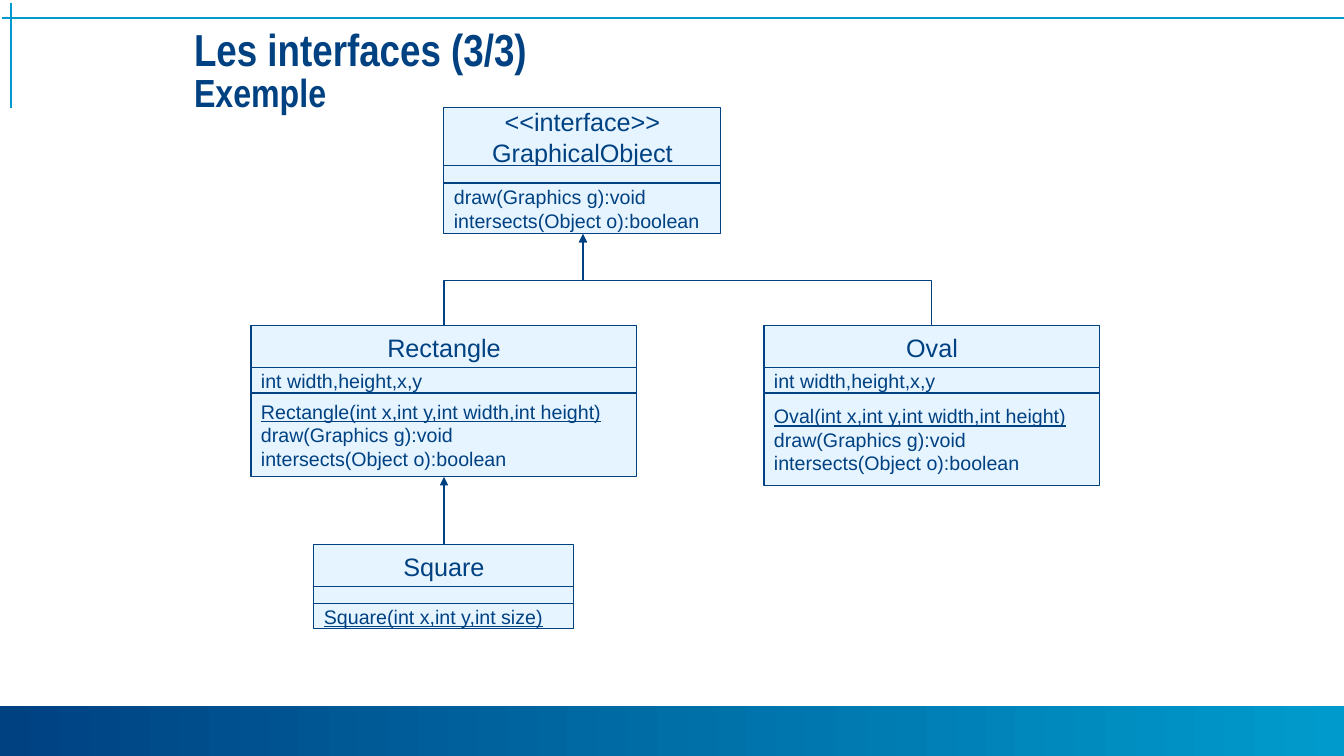
from copy import deepcopy

from pptx import Presentation
from pptx.dml.color import RGBColor
from pptx.enum.shapes import MSO_CONNECTOR as CONN, MSO_SHAPE as SHAPE
from pptx.enum.text import MSO_ANCHOR as ANCHOR, MSO_AUTO_SIZE as AUTO, PP_ALIGN as ALIGN
from pptx.oxml.ns import qn
from pptx.util import Pt
from lxml.etree import SubElement

EMU_PER_PX = 914400 / 100.8


def px(n):
    return round(n * EMU_PER_PX)


def rgb(value):
    return RGBColor.from_string(value)


class Diagram:
    NAVY, CYAN, PALE = "004182", "009BCC", "E6F4FF"
    FONT, TITLE_FONT = "Arial", "Arial Narrow"
    NAME_SIZE, MEMBER_SIZE = 18, 14

    def __init__(self, slide):
        self.s = slide

    def run(self, p, text, size, font=FONT, bold=False, underline=False):
        r = p.add_run()
        r.text = text
        r.font.size, r.font.name = Pt(size), font
        r.font.bold, r.font.underline = bold, underline
        r.font.color.rgb = rgb(self.NAVY)
        return r

    def title(self, x, y, w, h, heading, subheading):
        sp = self.s.shapes.title
        sp.left, sp.top, sp.width, sp.height = map(px, (x, y, w, h))
        tf = sp.text_frame
        tf.auto_size, tf.vertical_anchor = AUTO.NONE, ANCHOR.MIDDLE
        tf.margin_left = tf.margin_right = px(10)
        tf.margin_top = tf.margin_bottom = px(4)
        p = tf.paragraphs[0]
        p.alignment, p.line_spacing = ALIGN.LEFT, 0.85
        r = self.run(p, heading, 32, self.TITLE_FONT, bold=True)
        p.add_line_break()
        # The break takes the size of the heading
        p._p.find(qn("a:br")).append(deepcopy(r._r.rPr))
        self.run(p, subheading, 28, self.TITLE_FONT, bold=True)

    def band(self, x, y, w, h):
        sp = self.s.shapes.add_shape(SHAPE.RECTANGLE, *map(px, (x, y, w, h)))
        sp.shadow.inherit = False
        sp.line.fill.background()
        sp.fill.gradient()
        sp.fill.gradient_angle = 0
        for stop, colour in zip(sp.fill.gradient_stops, (self.NAVY, self.CYAN)):
            stop.color.rgb = rgb(colour)

    def compartment(self, x, y, w, h, lines, size, align, constructor=None):
        sp = self.s.shapes.add_shape(SHAPE.RECTANGLE, *map(px, (x, y, w, h)))
        sp.shadow.inherit = False
        sp.fill.solid()
        sp.fill.fore_color.rgb = rgb(self.PALE)
        sp.line.color.rgb, sp.line.width = rgb(self.NAVY), Pt(0.75)
        tf = sp.text_frame
        tf.word_wrap, tf.vertical_anchor = False, ANCHOR.MIDDLE
        for i, text in enumerate(lines):
            p = tf.add_paragraph() if i else tf.paragraphs[0]
            p.alignment = align
            self.run(p, text, size, underline=text == constructor)

    def uml_class(self, x, y, w, heights, names, fields, methods, constructor=None):
        parts = ((names, self.NAME_SIZE, ALIGN.CENTER),
                 (fields, self.MEMBER_SIZE, ALIGN.LEFT),
                 (methods, self.MEMBER_SIZE, ALIGN.LEFT))
        for h, (lines, size, align) in zip(heights, parts):
            self.compartment(x, y, w, h, lines, size, align, constructor)
            y += h

    def line(self, x1, y1, x2, y2, colour=CYAN, width=1, kind=CONN.STRAIGHT, arrow=False):
        c = self.s.shapes.add_connector(kind, *map(px, (x1, y1, x2, y2)))
        c.line.color.rgb, c.line.width = rgb(colour), Pt(width)
        if arrow:
            SubElement(c.line._get_or_add_ln(), qn("a:tailEnd"), type="triangle")
        SubElement(c._element.spPr, qn("a:effectLst"))
        return c

    def inherits(self, x1, y1, x2, y2):
        """Arrow from the top of a child up to the foot of its parent."""
        if x1 == x2:
            self.line(x1, y1, x2, y2, self.NAVY, 0.75, arrow=True)
            return
        # An elbow that leaves vertically is a quarter turn of a horizontal one
        cx, cy, half_w = (x1 + x2) / 2, (y1 + y2) / 2, abs(x2 - x1) / 2
        half_h = (y1 - y2) / 2 * (1 if x2 > x1 else -1)
        c = self.line(cx - half_h, cy - half_w, cx + half_h, cy + half_w,
                      self.NAVY, 0.75, CONN.ELBOW, arrow=True)
        turn = 270 if x2 > x1 else 90
        c._element.spPr.find(qn("a:xfrm")).set("rot", str(turn * 60000))


def main():
    prs = Presentation()
    prs.slide_width, prs.slide_height = px(1344), px(756)
    d = Diagram(prs.slides.add_slide(prs.slide_layouts[5]))

    # Frame of the page
    d.band(0, 706, 1344, 50)
    d.line(2, 18, 1344, 18)
    d.line(11, 3, 11, 108)
    d.title(184, 22, 991, 102, "Les interfaces (3/3)", "Exemple")

    # Interface and the classes that implement it
    shared = ["draw(Graphics g):void", "intersects(Object o):boolean"]
    size_fields = ["int width,height,x,y"]
    d.uml_class(444, 108, 277, (58, 17, 51),
                ["<<interface>>", "GraphicalObject"], [], shared)
    for name, x, w, methods_h in (("Rectangle", 251, 386, 84), ("Oval", 764, 336, 93)):
        constructor = f"{name}(int x,int y,int width,int height)"
        d.uml_class(x, 326, w, (42, 25, methods_h), [name], size_fields,
                    [constructor, *shared], constructor)
        d.inherits(x + w // 2, 326, 583, 234)

    # Subclass of Rectangle
    constructor = "Square(int x,int y,int size)"
    d.uml_class(314, 545, 260, (42, 17, 25), ["Square"], [], [constructor], constructor)
    d.inherits(444, 545, 444, 477)

    prs.save("out.pptx")


if __name__ == "__main__":
    main()
